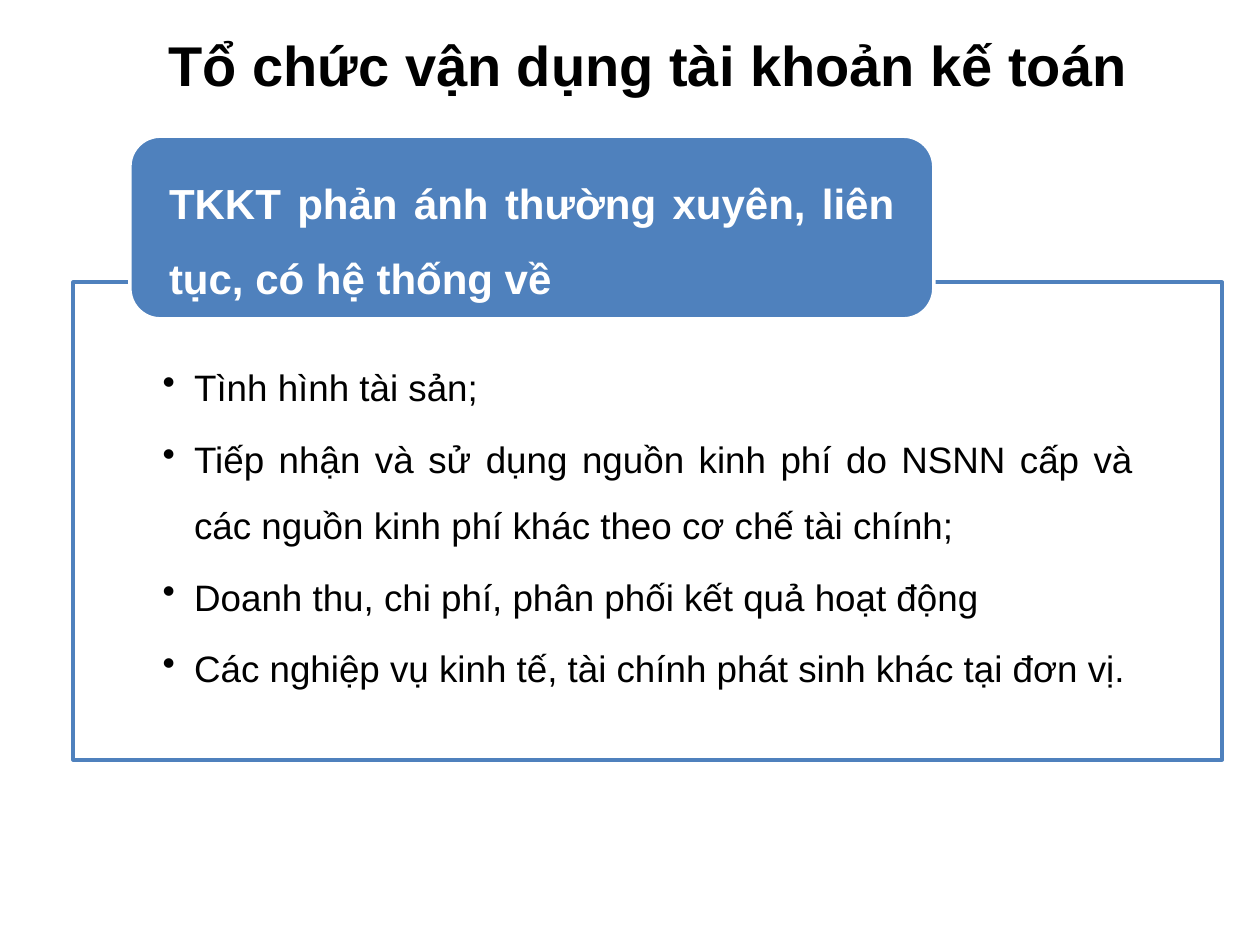
from dataclasses import dataclass

import pptx
import pptx.dml.color
import pptx.enum.shapes
import pptx.enum.text
import pptx.oxml
import pptx.oxml.ns
import pptx.util

Pt = pptx.util.Pt
RGB = pptx.dml.color.RGBColor
ShapeKind = pptx.enum.shapes.MSO_SHAPE
Align = pptx.enum.text.PP_ALIGN
Anchor = pptx.enum.text.MSO_ANCHOR
qn = pptx.oxml.ns.qn


@dataclass(frozen=True)
class Theme:
    font: str = "Arial"
    black: RGB = RGB(0, 0, 0)
    white: RGB = RGB(255, 255, 255)
    blue: RGB = RGB(0x4F, 0x81, 0xBD)
    title_size: float = 32
    heading_size: float = 24
    body_size: float = 21
    line_width: float = 2
    line_spacing: float = 1.5


@dataclass(frozen=True)
class Frame:
    left: float
    top: float
    width: float
    height: float

    def lengths(self) -> list:
        return [Pt(n) for n in (self.left, self.top, self.width, self.height)]


@dataclass(frozen=True)
class Panel:
    kind: ShapeKind
    frame: Frame
    fill: RGB
    line: RGB
    insets: tuple  # left, top, right, bottom
    anchor: Anchor


@dataclass(frozen=True)
class TextStyle:
    size: float
    color: RGB
    bold: bool = False
    after: float = 0
    bullet_indent: float = 0


THEME = Theme()
TITLE = "Tổ chức vận dụng tài khoản kế toán"
HEADING = "TKKT phản ánh thường xuyên, liên tục, có hệ thống về"
ITEMS = [
    "Tình hình tài sản;",
    "Tiếp nhận và sử dụng nguồn kinh phí do NSNN cấp và các nguồn kinh phí khác theo cơ chế tài chính;",
    "Doanh thu, chi phí, phân phối kết quả hoạt động",
    "Các nghiệp vụ kinh tế, tài chính phát sinh khác tại đơn vị.",
]


def format_spans(para, style: TextStyle) -> None:
    for span in para.runs:
        span.font.name = THEME.font
        span.font.size = Pt(style.size)
        span.font.bold = style.bold
        span.font.color.rgb = style.color


def add_bullet(para, indent: float) -> None:
    para.level = 1
    properties = para._p.get_or_add_pPr()
    properties.set("marL", str(Pt(indent)))
    properties.set("indent", str(-Pt(indent)))
    bullet = pptx.oxml.parse_xml(
        f'<a:buChar {pptx.oxml.ns.nsdecls("a")} char="•"/>')
    properties.append(bullet)


def write_paragraphs(text_frame, lines: list, style: TextStyle) -> None:
    text_frame.text = "\n".join(lines)
    for para in text_frame.paragraphs:
        if style.bullet_indent:
            add_bullet(para, style.bullet_indent)
        para.alignment = Align.JUSTIFY
        para.line_spacing = THEME.line_spacing
        para.space_before = Pt(0)
        para.space_after = Pt(style.after)
        format_spans(para, style)


def add_panel(page, panel: Panel, lines: list, style: TextStyle):
    shape = page.shapes.add_shape(panel.kind, *panel.frame.lengths())
    shape.shadow.inherit = False
    shape.fill.solid()
    shape.fill.fore_color.rgb = panel.fill
    shape.line.color.rgb = panel.line
    shape.line.width = Pt(THEME.line_width)
    text_frame = shape.text_frame
    text_frame.word_wrap = True
    text_frame.vertical_anchor = panel.anchor
    (text_frame.margin_left, text_frame.margin_top, text_frame.margin_right,
     text_frame.margin_bottom) = [Pt(n) for n in panel.insets]
    write_paragraphs(text_frame, lines, style)
    return shape


def set_opacity(shape, percent: int) -> None:
    color = shape.fill._xPr.find(qn("a:solidFill"))[0]
    color.append(pptx.oxml.parse_xml(
        f'<a:alpha {pptx.oxml.ns.nsdecls("a")} val="{percent * 1000}"/>'))


def add_title(page, frame: Frame) -> None:
    box = page.shapes.add_textbox(*frame.lengths())
    box.text_frame.word_wrap = True
    box.text_frame.text = TITLE
    format_spans(box.text_frame.paragraphs[0],
                 TextStyle(THEME.title_size, THEME.black, bold=True))


def main() -> None:
    deck = pptx.Presentation()
    deck.slide_width, deck.slide_height = Pt(720), Pt(540)
    page = deck.slides.add_slide(deck.slide_layouts[6])

    # Title
    add_title(page, Frame(89.3, 13.7, 579.6, 46.1))

    # Outlined list panel
    list_panel = Panel(ShapeKind.RECTANGLE, Frame(41.8, 161.3, 656.6, 272.9),
                       THEME.white, THEME.blue, (51.1, 34.6, 51.1, 11.5), Anchor.TOP)
    list_style = TextStyle(THEME.body_size, THEME.black,
                           after=0.15 * THEME.body_size, bullet_indent=18)
    set_opacity(add_panel(page, list_panel, ITEMS, list_style), 90)

    # Heading tab overlapping the panel's top edge
    heading_panel = Panel(ShapeKind.ROUNDED_RECTANGLE, Frame(74.2, 77.8, 459.4, 104.4),
                          THEME.blue, THEME.white, (17.3, 0, 17.3, 0), Anchor.MIDDLE)
    heading_style = TextStyle(THEME.heading_size, THEME.white, bold=True,
                              after=0.35 * THEME.heading_size)
    add_panel(page, heading_panel, [HEADING], heading_style)

    deck.save("out.pptx")


if __name__ == "__main__":
    main()
